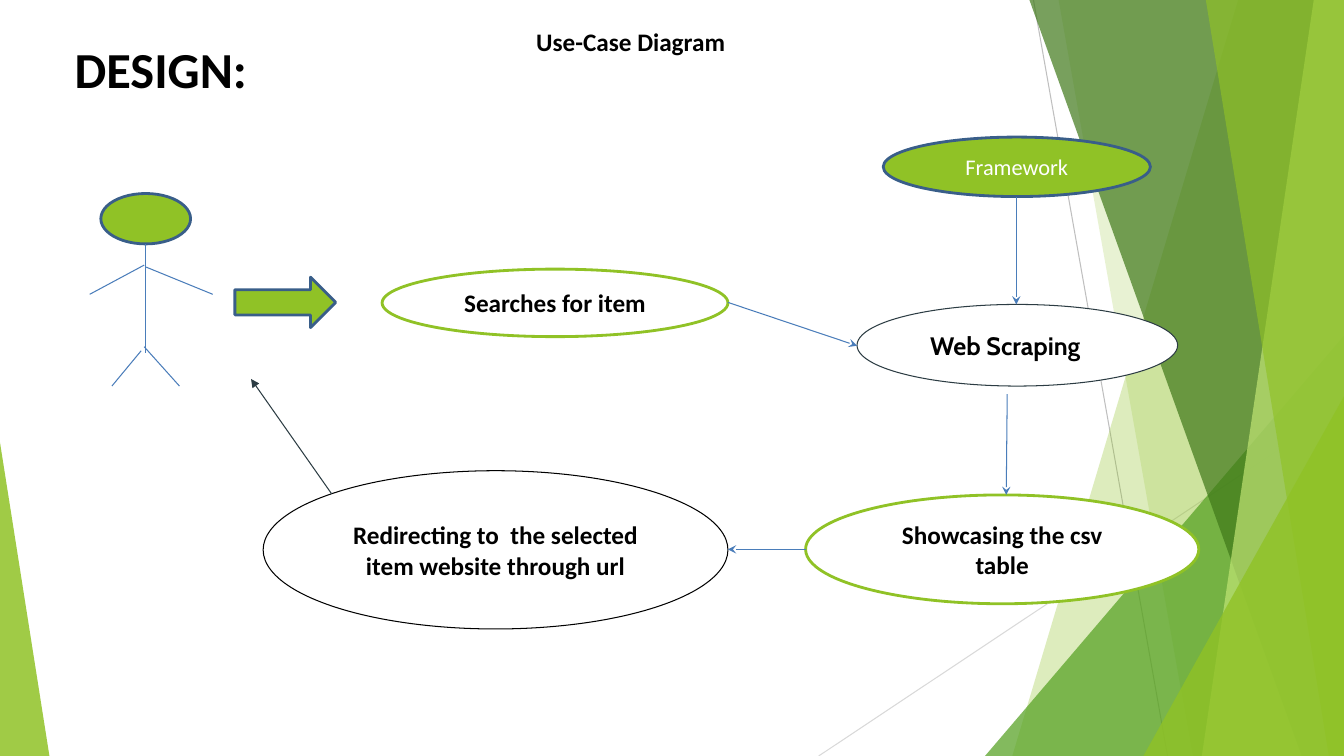
from lxml import etree
from pptx import Presentation
from pptx import util as u
from pptx.dml import color
from pptx.enum import shapes, text
from pptx.oxml import ns

WIDTH, HEIGHT = 13.33, 7.5
GREEN, FOREST, BLUE, SLATE = "90C226", "395E89", "4A7DBA", "2C3C43"
BLACK, WHITE = "000000", "FFFFFF"


def rgb(value):
    """Return a colour for a hex string."""
    return color.RGBColor.from_string(value)


def set_attributes(target, values):
    """Set every attribute named in a dict."""
    for name, value in values.items():
        setattr(target, name, value)


def add_element(parent, tag, **attributes):
    """Append a drawing element to an XML parent."""
    return etree.SubElement(parent, ns.qn(tag), attributes)


def style(shape, fill, line=None, weight=0.75, opacity=100):
    """Give a shape its fill, opacity and outline."""
    shape.shadow.inherit = False
    shape.fill.solid()
    shape.fill.fore_color.rgb = rgb(fill)
    if opacity < 100:
        solid = shape._element.spPr.find(ns.qn("a:solidFill"))
        add_element(solid[0], "a:alpha", val=str(opacity * 1000))
    if line:
        shape.line.color.rgb = rgb(line)
        shape.line.width = u.Pt(weight)
    else:
        shape.line.fill.background()


def write(shape, words, size=18, ink=BLACK, font="Calibri", bold=True,
          align=text.PP_ALIGN.CENTER, anchor=text.MSO_ANCHOR.MIDDLE, left=0.1):
    """Write one formatted paragraph into a shape."""
    set_attributes(shape.text_frame, {
        "word_wrap": True, "auto_size": text.MSO_AUTO_SIZE.NONE,
        "vertical_anchor": anchor, "margin_left": u.Inches(left),
        "margin_right": u.Inches(0.1), "margin_top": u.Inches(0.05),
        "margin_bottom": u.Inches(0.05)})
    paragraph = shape.text_frame.paragraphs[0]
    paragraph.alignment = align
    run = paragraph.add_run()
    run.text = words
    set_attributes(run.font, {"name": font, "size": u.Pt(size), "bold": bold})
    run.font.color.rgb = rgb(ink)
    return paragraph


def add_preset(slide, kind, box, fill, line=None, weight=0.75, opacity=100):
    """Add a styled preset shape at left, top, width, height."""
    shape = slide.shapes.add_shape(kind, *map(u.Inches, box))
    style(shape, fill, line, weight, opacity)
    return shape


def add_triangle(slide, box, apex, fill, opacity):
    """Add a right-angled translucent triangle."""
    triangle = add_preset(slide, shapes.MSO_SHAPE.ISOSCELES_TRIANGLE, box,
                          fill, opacity=opacity)
    triangle.adjustments[0] = apex


def add_facet(slide, top, bottom, fill, opacity):
    """Add a translucent panel from a slanted edge to the right of the slide."""
    corners = [(WIDTH, 0), (WIDTH, HEIGHT), (bottom, HEIGHT)]
    builder = slide.shapes.build_freeform(u.Inches(top), 0)
    builder.add_line_segments([(u.Inches(x), u.Inches(y)) for x, y in corners])
    style(builder.convert_to_shape(), fill, opacity=opacity)


def add_line(slide, start, end, ink=BLUE, arrow=None):
    """Add a thin line, with an arrowhead at its end if one is named."""
    line = slide.shapes.add_connector(
        shapes.MSO_CONNECTOR.STRAIGHT, *map(u.Inches, start + end))
    line.line.color.rgb = rgb(ink)
    line.line.width = u.Pt(0.75)
    if arrow:
        add_element(line.line._get_or_add_ln(), "a:tailEnd", type=arrow)
    add_element(line._element.spPr, "a:effectLst")


def add_oval(slide, box, words, fill, line, weight, **formats):
    """Add a use-case oval with its label."""
    oval = add_preset(slide, shapes.MSO_SHAPE.OVAL, box, fill, line, weight)
    write(oval, words, **formats)


def add_backdrop(slide):
    """Draw the green facets at the slide's edges."""
    add_line(slide, (10.25, 0), (11.58, HEIGHT), "BFBFBF")
    add_line(slide, (WIDTH, 4.03), (8.12, HEIGHT), "D9D9D9")
    add_facet(slide, 12.28, 10.04, GREEN, 30)
    add_facet(slide, 10.5, 11.83, GREEN, 20)
    add_triangle(slide, (9.77, 3.33, 3.56, 4.17), 1, "54A021", 72)
    add_facet(slide, 10.21, 12.91, "3F7819", 70)
    add_facet(slide, 13.03, 11.92, "C0E474", 70)
    add_facet(slide, 11.96, 13.18, GREEN, 65)
    add_triangle(slide, (11.34, 3.93, 1.99, 3.57), 1, GREEN, 80)
    add_triangle(slide, (0, 4.39, 0.49, 3.11), 0, GREEN, 85)


def add_headings(slide):
    """Fill the title and add the diagram's heading."""
    title = slide.shapes.title
    set_attributes(title, {"left": u.Inches(0.64), "top": u.Inches(0.22),
                           "width": u.Inches(2.93), "height": u.Inches(1)})
    paragraph = write(title, "DESIGN:", 36, align=text.PP_ALIGN.LEFT)
    paragraph.line_spacing = 0.9
    heading = slide.shapes.add_textbox(*map(u.Inches, (5.22, 0.21, 6.67, 0.4)))
    write(heading, "Use-Case Diagram", align=text.PP_ALIGN.LEFT,
          anchor=text.MSO_ANCHOR.TOP)


def add_actor(slide):
    """Draw the stick figure and its block arrow."""
    add_preset(slide, shapes.MSO_SHAPE.OVAL, (1, 1.92, 0.89, 0.5), GREEN, FOREST, 2)
    limbs = [((1.44, 2.42), (1.44, 3.5)),
             ((1.45, 2.65), (2.11, 2.92)), ((1.43, 2.63), (0.89, 2.92)),
             ((1.43, 3.44), (1.78, 3.83)), ((1.4, 3.48), (1.11, 3.83))]
    for start, end in limbs:
        add_line(slide, start, end)
    add_preset(slide, shapes.MSO_SHAPE.RIGHT_ARROW, (2.33, 2.75, 1, 0.5),
               GREEN, FOREST, 2)


def add_use_cases(slide):
    """Draw the use-case ovals and the arrows between them."""
    add_oval(slide, (3.79, 2.67, 3.43, 0.67), "Searches for item", WHITE, GREEN, 2)
    add_oval(slide, (7.99, 4.91, 3.9, 1.08), "Showcasing the csv table",
             WHITE, GREEN, 2)
    add_oval(slide, (8.76, 1.36, 2.65, 0.59), "Framework", GREEN, FOREST, 2,
             size=16, ink=WHITE, bold=False)
    add_oval(slide, (2.61, 4.67, 4.61, 1.57),
             "Redirecting to  the selected item website through url",
             WHITE, BLACK, 0.75)
    add_oval(slide, (8.5, 3.02, 3.18, 0.81), "Web Scraping", WHITE, SLATE, 0.75,
             font="Cabin", align=text.PP_ALIGN.LEFT, left=0.26)
    steps = [((7.22, 3), (8.5, 3.43)), ((9.99, 3.91), (9.98, 4.91)),
             ((10.08, 1.95), (10.08, 3.02)), ((7.99, 5.45), (7.22, 5.45))]
    for start, end in steps:
        add_line(slide, start, end, arrow="stealth")
    add_line(slide, (3.29, 4.9), (2.49, 3.76), SLATE, "triangle")


def main():
    """Build and save the slide."""
    presentation = Presentation()
    set_attributes(presentation, {"slide_width": u.Inches(WIDTH),
                                  "slide_height": u.Inches(HEIGHT)})
    slide = presentation.slides.add_slide(presentation.slide_layouts[5])
    add_backdrop(slide)
    add_headings(slide)
    add_actor(slide)
    add_use_cases(slide)
    presentation.save("out.pptx")


if __name__ == "__main__":
    main()
